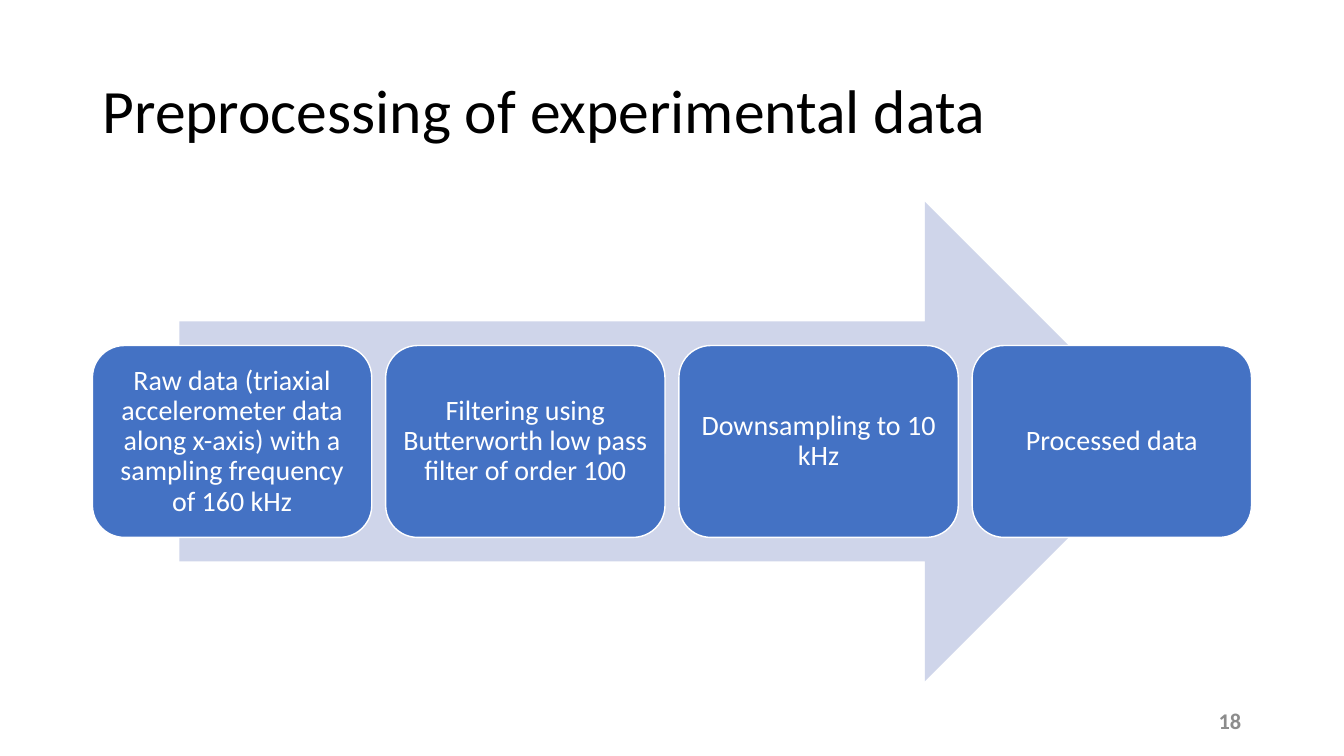
import dataclasses

import pptx
import pptx.dml.color
import pptx.enum.shapes
import pptx.enum.text
import pptx.util

Cm = pptx.util.Cm
Align = pptx.enum.text.PP_ALIGN
Preset = pptx.enum.shapes.MSO_SHAPE


@dataclasses.dataclass(frozen=True)
class Theme:
    font: str = "Calibri"
    black: str = "000000"
    white: str = "FFFFFF"
    step_blue: str = "4472C4"
    arrow_blue: str = "CFD5EA"
    number_gray: str = "8C8C8C"
    title_size: int = 44
    step_size: int = 20
    number_size: int = 16


@dataclasses.dataclass(frozen=True)
class Box:
    """A region of the slide, in centimetres."""
    left: float
    top: float
    width: float
    height: float

    def lengths(self):
        return [Cm(value) for value in dataclasses.astuple(self)]


THEME = Theme()
STEPS = [
    "Raw data (triaxial accelerometer data along x-axis) with a sampling frequency of 160 kHz",
    "Filtering using Butterworth low pass filter of order 100",
    "Downsampling to 10 kHz",
    "Processed data",
]


def rgb(color):
    return pptx.dml.color.RGBColor.from_string(color)


def write_text(shape, text, *, size, color, align=Align.LEFT, bold=False,
               line_spacing=1.0, inset=None):
    frame = shape.text_frame
    frame.word_wrap = True
    frame.auto_size = pptx.enum.text.MSO_AUTO_SIZE.NONE
    frame.vertical_anchor = pptx.enum.text.MSO_ANCHOR.MIDDLE
    if inset is not None:
        frame.margin_left = frame.margin_right = Cm(inset)
        frame.margin_top = frame.margin_bottom = Cm(inset)
    paragraph = frame.paragraphs[0]
    paragraph.alignment = align
    paragraph.line_spacing = line_spacing
    run = paragraph.add_run()
    run.text = text
    run.font.name = THEME.font
    run.font.size = pptx.util.Pt(size)
    run.font.bold = bold
    run.font.color.rgb = rgb(color)


def add_filled_shape(slide, preset, box, fill, line=None):
    shape = slide.shapes.add_shape(preset, *box.lengths())
    shape.shadow.inherit = False
    shape.fill.solid()
    shape.fill.fore_color.rgb = rgb(fill)
    if line:
        shape.line.color.rgb = rgb(line)
        shape.line.width = pptx.util.Pt(1)
    else:
        shape.line.fill.background()
    return shape


def add_title(slide, box, text):
    title = slide.shapes.title
    title.left, title.top, title.width, title.height = box.lengths()
    write_text(title, text, size=THEME.title_size, color=THEME.black, line_spacing=0.9)


def add_process(slide, box, steps, gap=0.35):
    # Background arrow, 85 % of the width and centred
    arrow_width = box.width * 0.85
    arrow_left = box.left + (box.width - arrow_width) / 2
    add_filled_shape(slide, Preset.RIGHT_ARROW,
                     Box(arrow_left, box.top, arrow_width, box.height), THEME.arrow_blue)

    # Equal steps across the full width, 40 % of the height
    step_width = (box.width - gap * (len(steps) - 1)) / len(steps)
    step_height = box.height * 0.4
    step_top = box.top + (box.height - step_height) / 2
    for index, text in enumerate(steps):
        step_left = box.left + index * (step_width + gap)
        step = add_filled_shape(slide, Preset.ROUNDED_RECTANGLE,
                                Box(step_left, step_top, step_width, step_height),
                                THEME.step_blue, THEME.white)
        write_text(step, text, size=THEME.step_size, color=THEME.white,
                   align=Align.CENTER, line_spacing=0.9, inset=0.2)


def add_page_number(slide, box, number):
    text_box = slide.shapes.add_textbox(*box.lengths())
    write_text(text_box, number, size=THEME.number_size, color=THEME.number_gray,
               align=Align.RIGHT, bold=True)


def main():
    presentation = pptx.Presentation()
    presentation.slide_width = Cm(33.87)
    presentation.slide_height = Cm(19.05)
    title_only = presentation.slide_layouts[5]
    slide = presentation.slides.add_slide(title_only)

    add_title(slide, Box(2.33, 1.02, 29.21, 3.68), "Preprocessing of experimental data")
    add_process(slide, Box(2.33, 5.08, 29.21, 12.09), STEPS)
    add_page_number(slide, Box(30.23, 17.65, 1.3, 1.02), "18")

    presentation.save("out.pptx")


if __name__ == "__main__":
    main()
